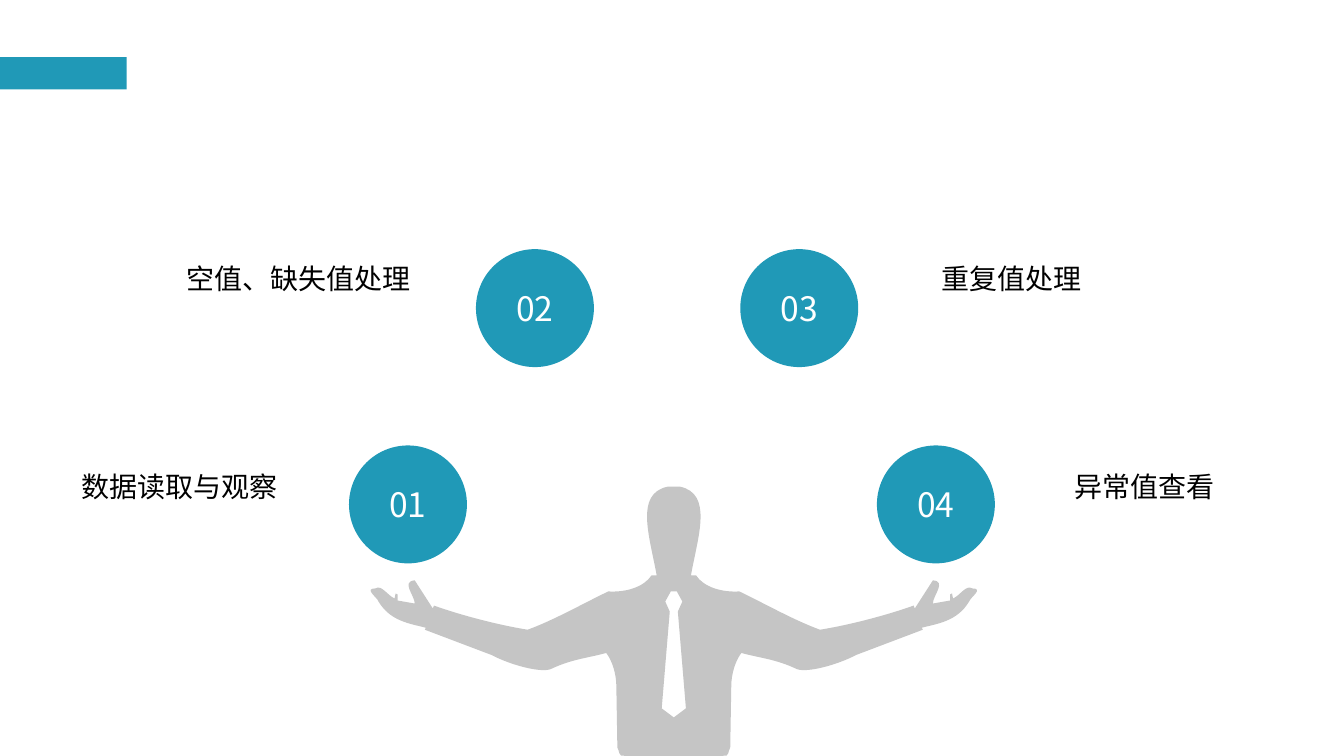
import lxml.etree
import pptx
import pptx.dml.color
import pptx.enum.shapes
import pptx.enum.text
import pptx.oxml.ns
import pptx.util

Pt = pptx.util.Pt
qn = pptx.oxml.ns.qn
SHAPES = pptx.enum.shapes.MSO_SHAPE
FONT = "Noto Sans CJK SC"
TEAL, GREY, WHITE, BLACK = "2099B7", "C5C5C5", "FFFFFF", "000000"

# Content: number, circle left and top, label, label left, top, width, height
UPPER, LOWER = (178, 183.2), (318.2, 331.9)
STEPS = [
    ("02", 340, UPPER, "空值、缺失值处理", 126, 182, 31.5),
    ("01", 249.3, LOWER, "数据读取与观察", 51.1, 158.4, 31.5),
    ("03", 528.8, UPPER, "重复值处理", 665.3, 158.4, 79.9),
    ("04", 626.4, LOWER, "异常值查看", 760.3, 158.4, 31.5),
]
CIRCLE = 84.24

# Right half of the figure, as steps from the top of its axis:
# two numbers draw a line, six draw a cubic curve
AXIS, FIGURE_TOP, STEP = 481.3, 347.6, 0.72
BODY = [
    (0, 0), (6, 0), (39, 7, 24, 49, 17, 88), (22, 88),
    (30, 100, 48, 105, 65, 104), (92, 117, 118, 132, 145, 142),
    (176, 137, 213, 127, 238, 118), (239, 121), (257, 93),
    (271, 94, 257, 108, 257, 116), (274, 113), (274, 107), (276, 106),
    (277, 111), (284, 108, 290, 97, 296, 101),
    (308, 101, 294, 110, 293, 114), (281, 134, 261, 136, 246, 140),
    (247, 142), (181, 167), (162, 177, 132, 185, 122, 181),
    (101, 171, 85, 170, 67, 165), (61, 173, 57, 186, 57, 198),
    (56, 259), (54, 261, 55, 269, 49, 267), (0, 267),
]
TIE = [(0, 104), (3, 104), (8.5, 114), (4, 124), (12, 220), (0, 229)]


def color(value):
    return pptx.dml.color.RGBColor.from_string(value)


def paint(shape, fill):
    shape.shadow.inherit = False
    shape.fill.solid()
    shape.fill.fore_color.rgb = color(fill)
    shape.line.fill.background()


def write(shape, text, size, ink, frame_format, alignment):
    frame = shape.text_frame
    for name, value in frame_format.items():
        setattr(frame, name, value)
    para = frame.paragraphs[0]
    para.alignment = alignment
    span = para.add_run()
    span.text = text
    for name, value in {"size": Pt(size), "name": FONT}.items():
        setattr(span.font, name, value)
    span.font.color.rgb = color(ink)
    lxml.etree.SubElement(span.font._element, qn("a:ea"), typeface=FONT)


def mirrored(half):
    """Close a right half with its reflection; give point lists on the slide."""
    right = [list(zip(segment[::2], segment[1::2])) for segment in half]
    left = []
    for before, segment in reversed(list(zip(right, right[1:]))):
        back = segment[-2::-1] + [before[-1]]
        left.append([(-x, y) for x, y in back])
    return [[(Pt(AXIS + x * STEP), Pt(FIGURE_TOP + y * STEP))
             for x, y in segment] for segment in right + left]


def draw_outline(shapes, contours):
    """Draw closed contours, then bend the segments that have controls."""
    builder = shapes.build_freeform(*contours[0][0][0])
    for index, contour in enumerate(contours):
        if index:
            builder.move_to(*contour[0][0])
        builder.add_line_segments(
            [segment[-1] for segment in contour[1:]], close=True)
    outline = builder.convert_to_shape()
    segments = [segment for contour in contours for segment in contour[1:]]
    lines = list(outline._element.iter(qn("a:lnTo")))
    for line, segment in zip(lines, segments):
        if len(segment) == 1:
            continue
        curve = lxml.etree.Element(qn("a:cubicBezTo"))
        for x, y in segment:
            lxml.etree.SubElement(curve, qn("a:pt"), x=str(x - outline.left),
                                  y=str(y - outline.top))
        line.getparent().replace(line, curve)
    return outline


deck = pptx.Presentation()
deck.slide_width, deck.slide_height = Pt(960), Pt(540)
page = deck.slides.add_slide(deck.slide_layouts[6])

# Figure with the tie cut out, grouped with the circles
juggler = page.shapes.add_group_shape()
paint(draw_outline(juggler.shapes, [mirrored(BODY), mirrored(TIE)]), GREY)

# Numbered circles and their labels
CENTERED = {"word_wrap": False,
            "vertical_anchor": pptx.enum.text.MSO_ANCHOR.MIDDLE}
GROWING = {"word_wrap": True,
           "auto_size": pptx.enum.text.MSO_AUTO_SIZE.SHAPE_TO_FIT_TEXT}
for number, left, (top, label_top), label, label_left, width, height in STEPS:
    circle = juggler.shapes.add_shape(
        SHAPES.OVAL, Pt(left), Pt(top), Pt(CIRCLE), Pt(CIRCLE))
    paint(circle, TEAL)
    write(circle, number, 24, WHITE, CENTERED, pptx.enum.text.PP_ALIGN.CENTER)
    box = page.shapes.add_textbox(
        Pt(label_left), Pt(label_top), Pt(width), Pt(height))
    write(box, label, 20, BLACK, GROWING, pptx.enum.text.PP_ALIGN.LEFT)

# Accent bar at the left edge
bar = page.shapes.add_shape(SHAPES.RECTANGLE, 0, Pt(40.8), Pt(90.5), Pt(23))
paint(bar, TEAL)

deck.save("out.pptx")
